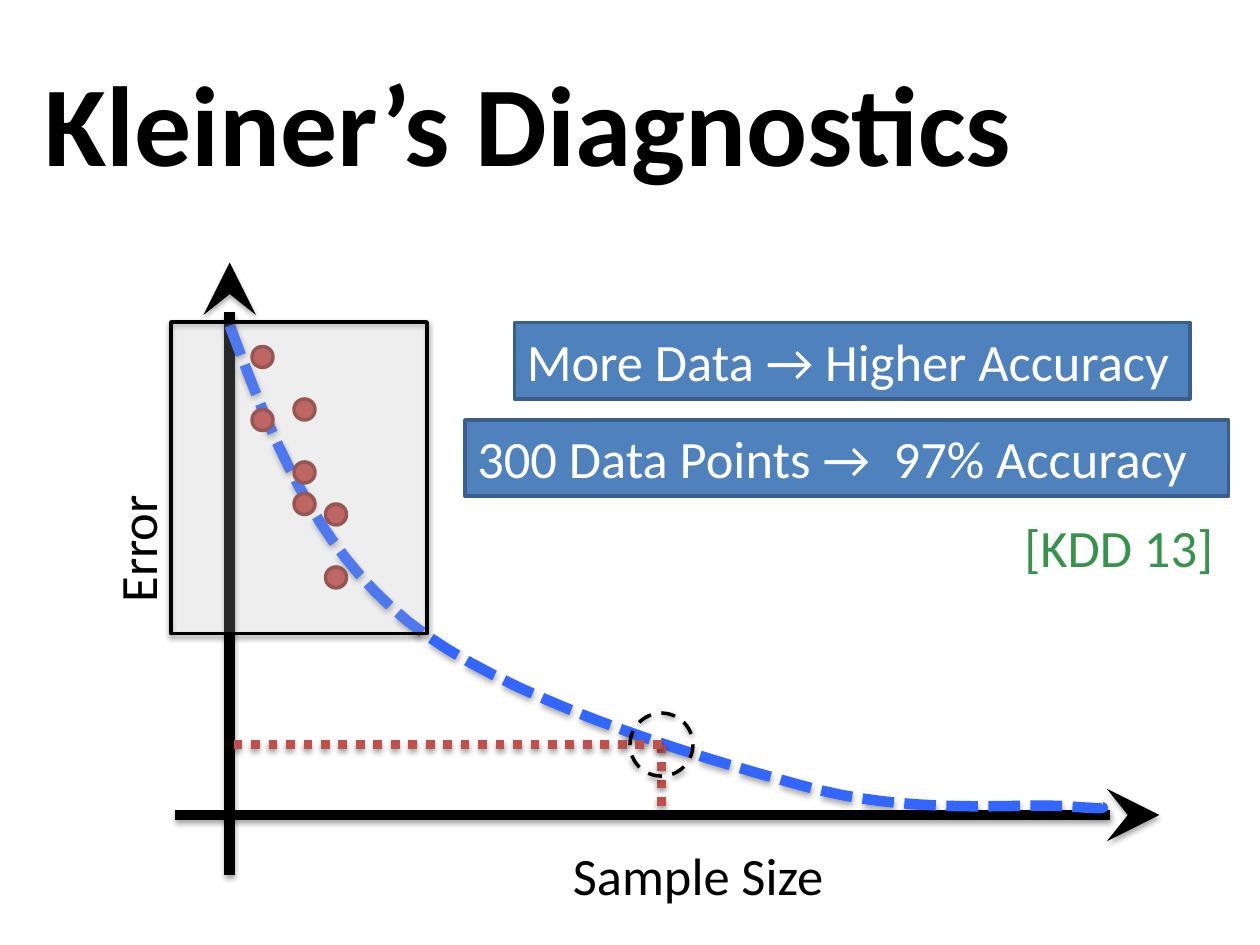
from lxml.etree import SubElement
from pptx import Presentation
from pptx.dml.color import RGBColor
from pptx.enum.dml import MSO_LINE
from pptx.enum.shapes import MSO_CONNECTOR, MSO_SHAPE
from pptx.enum.text import MSO_ANCHOR, MSO_AUTO_SIZE, PP_ALIGN
from pptx.oxml.ns import qn
from pptx.util import Pt

BLACK = RGBColor(0x00, 0x00, 0x00)
WHITE = RGBColor(0xFF, 0xFF, 0xFF)
GREY = RGBColor(0xF2, 0xF2, 0xF2)
CURVE_BLUE = RGBColor(0x33, 0x66, 0xFF)
BOX_BLUE = RGBColor(0x4F, 0x81, 0xBD)
BOX_EDGE = RGBColor(0x3A, 0x5F, 0x8C)
RED = RGBColor(0xC0, 0x50, 0x4D)
DARK_RED = RGBColor(0x8E, 0x3B, 0x39)
GREEN = RGBColor(0x37, 0x93, 0x4C)


def bezier(start, segments, steps=16):
    """Points along a chain of cubic curves."""
    points = [start]
    for b, c, d in segments:
        a = points[-1]
        for i in range(1, steps + 1):
            t = i / steps
            weights = ((1 - t) ** 3, 3 * t * (1 - t) ** 2, 3 * t * t * (1 - t), t ** 3)
            points.append(tuple(sum(w * q[k] for w, q in zip(weights, (a, b, c, d)))
                                for k in (0, 1)))
    return points


class Deck:
    font = "Calibri"
    size = 30

    def __init__(self, slide):
        self.s = slide

    def run(self, tf, text, color, size=None, bold=False):
        p = tf.paragraphs[0]
        p.alignment = PP_ALIGN.LEFT
        r = p.add_run()
        r.text = text
        r.font.name = self.font
        r.font.size = Pt(size or self.size)
        r.font.bold = bold
        r.font.color.rgb = color

    def title(self, text, x, y, w, h):
        sp = self.s.shapes.title
        sp.left, sp.top, sp.width, sp.height = Pt(x), Pt(y), Pt(w), Pt(h)
        sp.text_frame.vertical_anchor = MSO_ANCHOR.MIDDLE
        self.run(sp.text_frame, text, BLACK, 65, True)

    def label(self, text, x, y, w, h, color=BLACK, rotation=0):
        sp = self.s.shapes.add_textbox(Pt(x), Pt(y), Pt(w), Pt(h))
        sp.rotation = rotation
        tf = sp.text_frame
        tf.word_wrap = False
        tf.auto_size = MSO_AUTO_SIZE.SHAPE_TO_FIT_TEXT
        self.run(tf, text, color)

    def outline(self, sp, color, width, dash=None, shadow=None):
        """Style the line; shadow is (opacity %, distance) or None."""
        sp.line.color.rgb = color
        sp.line.width = Pt(width)
        if dash:
            sp.line.dash_style = dash
        sp_pr = sp._element.spPr
        effects = SubElement(sp_pr, qn("a:effectLst"))
        if shadow:
            opacity, distance = shadow
            outer = SubElement(effects, qn("a:outerShdw"), blurRad=str(Pt(3.1)),
                               dist=str(Pt(distance)), dir="5400000", rotWithShape="0")
            clr = SubElement(outer, qn("a:srgbClr"), val=str(BLACK))
            SubElement(clr, qn("a:alpha"), val=str(opacity * 1000))

    def shape(self, kind, x, y, w, h, fill, edge, width=2, dash=None,
              shadow=None, opacity=None):
        sp = self.s.shapes.add_shape(kind, Pt(x), Pt(y), Pt(w), Pt(h))
        if fill is None:
            sp.fill.background()
        else:
            sp.fill.solid()
            sp.fill.fore_color.rgb = fill
        if opacity:
            clr = sp._element.spPr.find(qn("a:solidFill"))[0]
            SubElement(clr, qn("a:alpha"), val=str(opacity * 1000))
        self.outline(sp, edge, width, dash, shadow)
        return sp

    def box(self, text, x, y, w, h):
        sp = self.shape(MSO_SHAPE.RECTANGLE, x, y, w, h, BOX_BLUE, BOX_EDGE)
        tf = sp.text_frame
        tf.word_wrap = True
        tf.auto_size = MSO_AUTO_SIZE.SHAPE_TO_FIT_TEXT
        tf.vertical_anchor = MSO_ANCHOR.TOP
        self.run(tf, text, WHITE)

    def line(self, x1, y1, x2, y2, color, width, dash=None, shadow=None, arrow=False):
        sp = self.s.shapes.add_connector(MSO_CONNECTOR.STRAIGHT,
                                         Pt(x1), Pt(y1), Pt(x2), Pt(y2))
        self.outline(sp, color, width, dash, shadow)
        if arrow:
            ln = sp._element.spPr.find(qn("a:ln"))
            SubElement(ln, qn("a:tailEnd"), type="stealth", w="lg", len="lg")

    def curve(self, points, color, width, dash, shadow):
        points = [(Pt(x), Pt(y)) for x, y in points]
        builder = self.s.shapes.build_freeform(*points[0])
        builder.add_line_segments(points[1:], close=False)
        sp = builder.convert_to_shape()
        sp.fill.background()
        self.outline(sp, color, width, dash, shadow)


def main():
    prs = Presentation()
    prs.slide_width, prs.slide_height = Pt(720), Pt(540)
    deck = Deck(prs.slides.add_slide(prs.slide_layouts[5]))
    thick_shadow, thin_shadow = (35, 1.8), (38, 1.6)

    deck.title("Kleiner’s Diagnostics", 18, 24, 684, 90)

    # Axes and their labels
    axis_x, axis_y = 131.25, 465.75
    deck.line(100, axis_y, 662.5, axis_y, BLACK, 6, shadow=thick_shadow, arrow=True)
    deck.line(axis_x, 500, axis_x, 150, BLACK, 6, shadow=thick_shadow, arrow=True)
    deck.label("Error", 39.5, 291, 77, 43.6, rotation=270)
    deck.label("Sample Size", 320.3, 478, 160, 43.6)

    # Error curve
    points = bezier((axis_x, 186), [
        ((154.8, 248.4), (178.6, 311), (233, 355)),
        ((287.3, 398.9), (393.8, 431.3), (457.2, 448.6)),
        ((519.8, 466.6), (582.5, 458.6), (610.6, 460.8)),
        ((639.4, 463), (627.8, 460.8), (627.8, 460.8))])
    deck.curve(points, CURVE_BLUE, 6, MSO_LINE.SQUARE_DOT, thick_shadow)

    # Chosen sample size and its error
    mark_x, mark_y, radius = 378, 425.5, 18
    for end in ((mark_x, 461.5), (axis_x, mark_y)):
        deck.line(mark_x, mark_y, *end, RED, 5, MSO_LINE.ROUND_DOT, thin_shadow)
    deck.shape(MSO_SHAPE.OVAL, mark_x - radius, mark_y - radius, 2 * radius, 2 * radius,
               None, BLACK, dash=MSO_LINE.DASH, shadow=thin_shadow)

    # Measured points under a translucent window
    for x, y in ((186, 324), (144, 198), (168, 228), (168, 264),
                 (168, 282), (144, 234), (186, 288)):
        deck.shape(MSO_SHAPE.OVAL, x, y, 12, 12, RED, DARK_RED)
    deck.shape(MSO_SHAPE.RECTANGLE, 97.7, 184, 146.3, 178, GREY, BLACK,
               shadow=thin_shadow, opacity=17)

    # Findings and source
    deck.box("More Data → Higher Accuracy", 294, 184.4, 386, 43.6)
    deck.box("300 Data Points →  97% Accuracy", 265.7, 240, 436.3, 43.6)
    deck.label("[KDD 13]", 578.2, 291, 123.8, 43.6, GREEN)

    prs.save("out.pptx")


if __name__ == "__main__":
    main()
